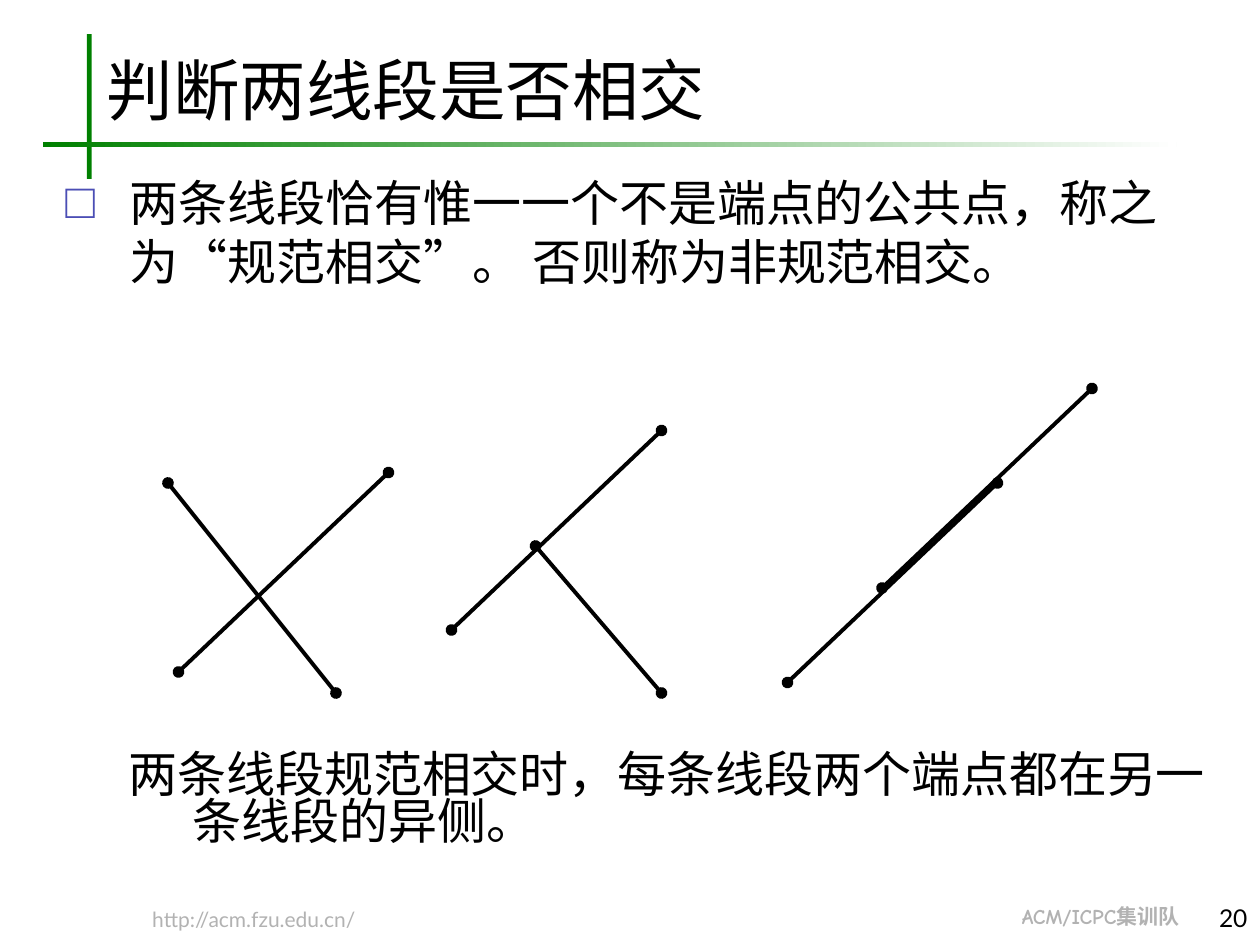
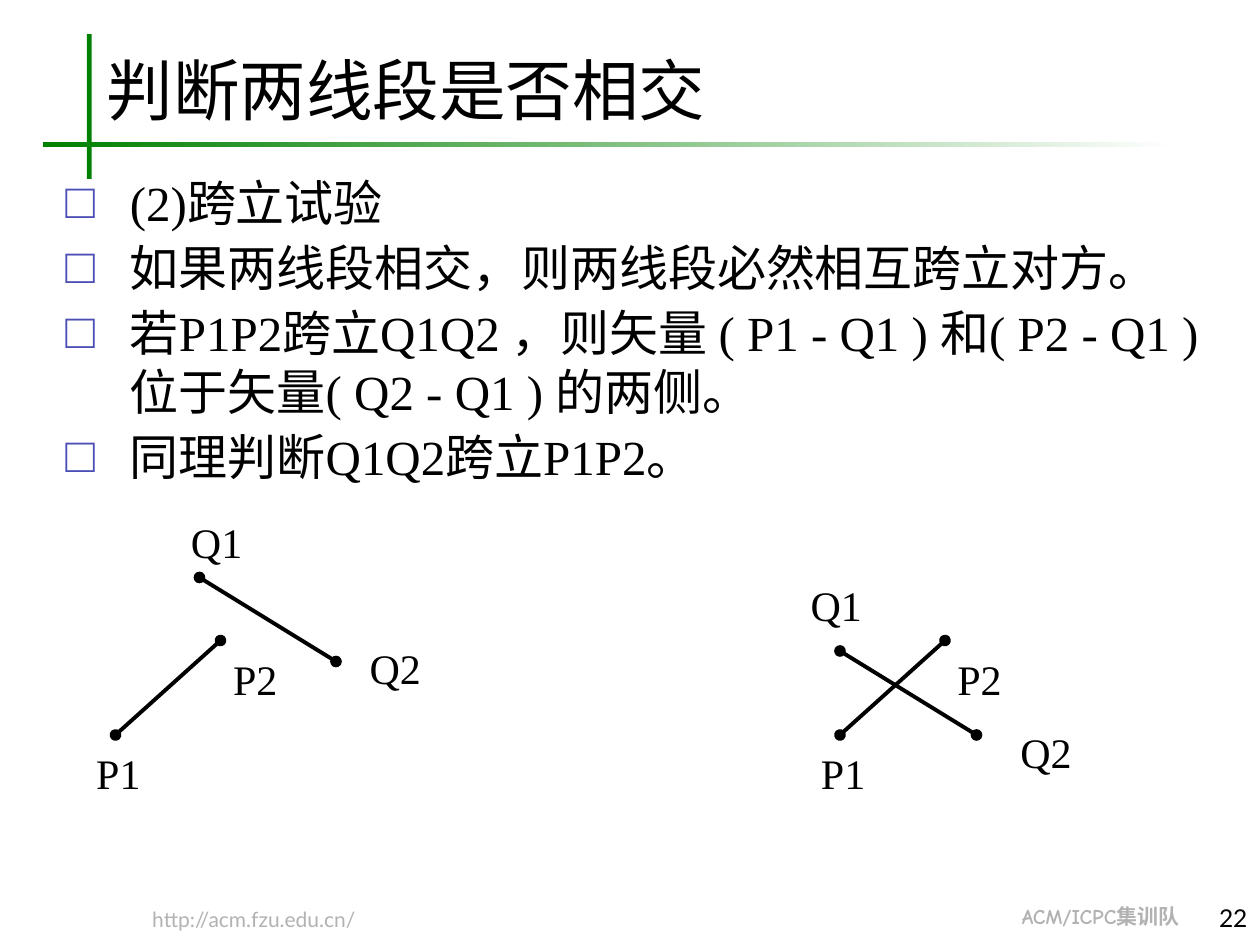
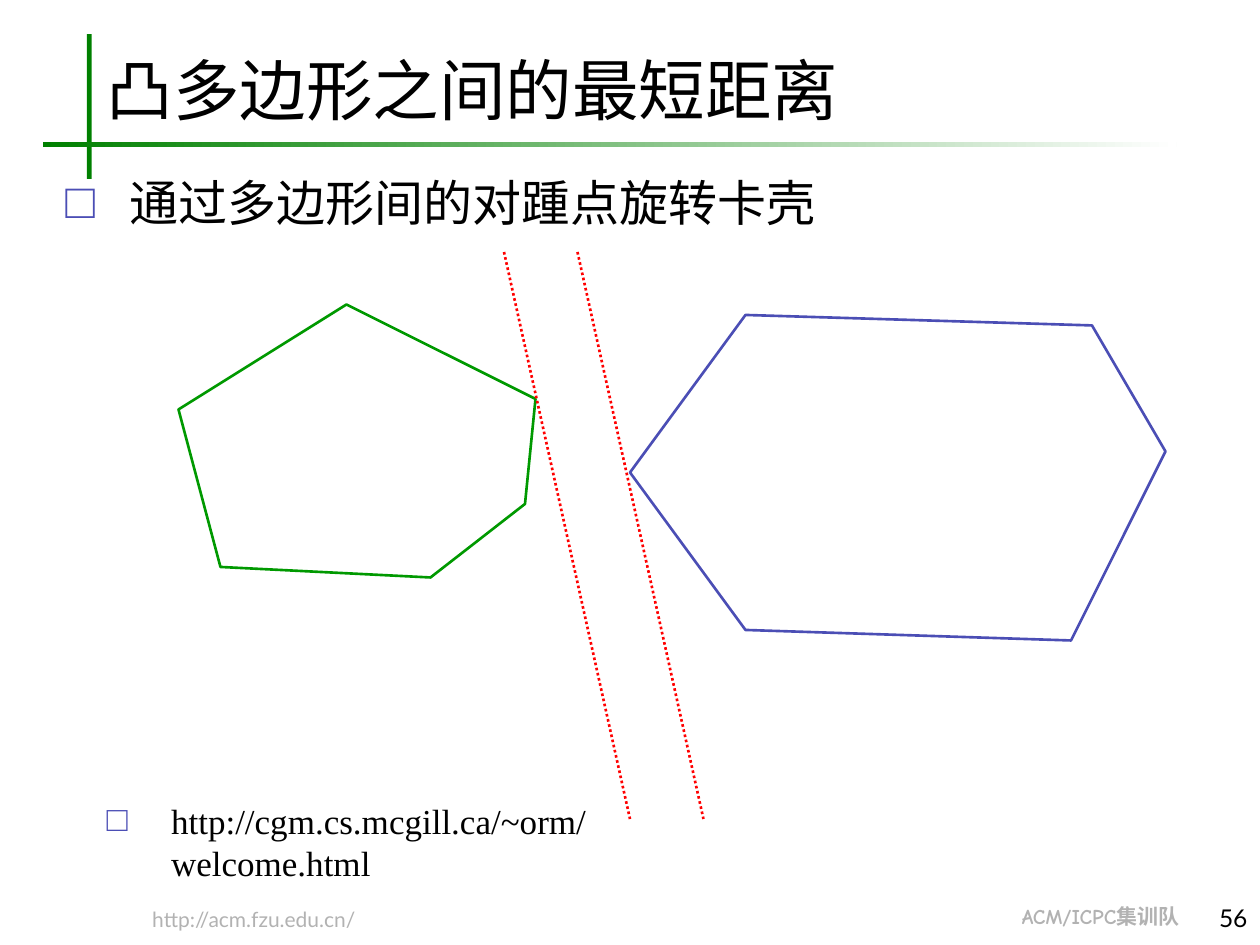
from dataclasses import dataclass, field
from typing import Any

from lxml.etree import SubElement
from pptx import Presentation
from pptx.dml.color import RGBColor
from pptx.enum.dml import MSO_LINE
from pptx.enum.lang import MSO_LANGUAGE_ID
from pptx.enum.shapes import MSO_CONNECTOR, MSO_SHAPE
from pptx.enum.text import MSO_ANCHOR, MSO_AUTO_SIZE, PP_ALIGN
from pptx.oxml.ns import qn
from pptx.util import Cm, Pt

Point = tuple[int, int]
Box = tuple[float, float, float, float]

HUES = {
    "ink": "000000", "band": "008000", "fade": "FFFFFF", "foot": "B2B2B2",
    "mark": "4B4EB5", "left": "009900", "right": "4B4EB5", "touch": "FF0000",
}
SERIF = "Times New Roman"
STEP = Cm(2.54) // 12  # drawing grid: twelve steps to the inch
HANG = Cm(1.3)
FRAME = {"word_wrap": True, "auto_size": MSO_AUTO_SIZE.NONE,
         "margin_left": Cm(0.25), "margin_right": Cm(0.25)}
ROOMY = {"margin_top": Cm(0.13), "margin_bottom": Cm(0.13)}
TIGHT = {"margin_top": Cm(0.03), "margin_bottom": Cm(0.03)}
LOW = {"vertical_anchor": MSO_ANCHOR.BOTTOM}


@dataclass(frozen=True)
class Style:
    box: Box
    size: int
    face: str = SERIF
    hue: str = "ink"
    bold: bool = False
    hang: bool = False
    mark: bool = False
    gap: float = 0
    frame: dict[str, Any] = field(default_factory=lambda: TIGHT)
    para: dict[str, Any] = field(default_factory=dict)


@dataclass(frozen=True)
class Line:
    start: Point
    end: Point
    hue: str = "ink"
    width: float = 2.25
    dots: bool = True


@dataclass(frozen=True)
class Label:
    text: str
    at: Point


@dataclass(frozen=True)
class Shape:
    hue: str
    points: list[Point]


@dataclass(frozen=True)
class Note:
    text: str
    style: Style


@dataclass(frozen=True)
class Page:
    title: str
    items: list[str]
    number: str
    art: list[Line | Label | Shape | Note]


TITLE = Style((1.9, 0.85, 22.66, 1.88), 38, frame=ROOMY | LOW)
BODY = Style((1.07, 3.35, 23.5, 14.43), 28, hang=True, mark=True, gap=3.5, frame=ROOMY)
NUMBER = Style((23.7, 18.08, 1.7, 0.84), 14, "Lato", frame=ROOMY | LOW,
               para={"alignment": PP_ALIGN.RIGHT})
DENSE = {"line_spacing": 0.8}
REMARK = Style((2.34, 15.19, 22.43, 1.96), 28, hang=True, para=DENSE)
SOURCE = Style((1.9, 16.08, 14.1, 1.75), 20, hang=True, mark=True)
FOOTS = [
    Note("http://acm.fzu.edu.cn/",
         Style((2.82, 18.34, 6.55, 0.46), 12, "Lato", "foot", para=DENSE)),
    Note("ACM/ICPC集训队",
         Style((20.35, 18.29, 4.24, 0.46), 12, "Comic Neue", "foot", True, para=DENSE)),
]

PAGES = [
    Page("判断两线段是否相交",
         ["两条线段恰有惟一一个不是端点的公共点，称之为“规范相交”。 否则称为非规范相交。"],
         "20",
         [Line((16, 46), (32, 66)), Line((17, 64), (37, 45)),
          Line((51, 52), (63, 66)), Line((43, 60), (63, 41)),
          Line((75, 65), (95, 46)), Line((84, 56), (104, 37)),
          Note("两条线段规范相交时，每条线段两个端点都在另一条线段的异侧。", REMARK)]),
    Page("判断两线段是否相交",
         ["(2)跨立试验",
          "如果两线段相交，则两线段必然相互跨立对方。",
          "若P1P2跨立Q1Q2 ，则矢量 ( P1 - Q1 ) 和( P2 - Q1 )位于矢量( Q2 - Q1 ) 的两侧。",
          "同理判断Q1Q2跨立P1P2。"],
         "22",
         [Line((11, 70), (21, 61)), Line((19, 55), (32, 63)),
          Label("P1", (8, 72)), Label("P2", (21, 63)),
          Label("Q1", (17, 50)), Label("Q2", (34, 62)),
          Line((80, 70), (90, 61)), Line((80, 62), (93, 70)),
          Label("P1", (77, 72)), Label("P2", (90, 63)),
          Label("Q1", (76, 56)), Label("Q2", (96, 70))]),
    Page("凸多边形之间的最短距离",
         ["通过多边形间的对踵点旋转卡壳"],
         "56",
         [Shape("left", [(33, 29), (17, 39), (21, 54), (41, 55), (50, 48), (51, 38)]),
          Shape("right", [(71, 30), (60, 45), (71, 60), (102, 61), (111, 43), (104, 31)]),
          Line((48, 24), (60, 78), "touch", 1.5, False),
          Line((55, 24), (67, 78), "touch", 1.5, False),
          Note("http://cgm.cs.mcgill.ca/~orm/welcome.html", SOURCE)]),
]


def color(name: str) -> RGBColor:
    return RGBColor.from_string(HUES[name])


def apply(target: Any, values: dict[str, Any]) -> None:
    for name, value in values.items():
        setattr(target, name, value)


def place(shape: Any, box: Box) -> None:
    apply(shape, dict(zip(("left", "top", "width", "height"), map(Cm, box))))


def indent(para: Any, style: Style) -> None:
    """Set the hanging indent and the square bullet."""
    props = para._p.get_or_add_pPr()
    hang = HANG if style.hang else 0
    props.set("marL", str(hang))
    props.set("indent", str(-hang))
    if style.mark:
        tint = SubElement(props, qn("a:buClr"))
        SubElement(tint, qn("a:srgbClr"), val=HUES["mark"])
        SubElement(props, qn("a:buFont"), typeface=SERIF)
        SubElement(props, qn("a:buChar"), char="□")
    else:
        SubElement(props, qn("a:buNone"))


def write(shape: Any, lines: list[str], style: Style) -> None:
    place(shape, style.box)
    frame = shape.text_frame
    apply(frame, FRAME | style.frame)
    for index, text in enumerate(lines):
        para = frame.add_paragraph() if index else frame.paragraphs[0]
        indent(para, style)
        apply(para, {"alignment": PP_ALIGN.LEFT,
                     "space_before": Pt(style.gap if index else 0)} | style.para)
        run = para.add_run()
        run.text = text
        apply(run.font, {"name": style.face, "size": Pt(style.size), "bold": style.bold,
                         "language_id": MSO_LANGUAGE_ID.SIMPLIFIED_CHINESE})
        run.font.color.rgb = color(style.hue)


def note(slide: Any, text: str, style: Style) -> None:
    write(slide.shapes.add_textbox(0, 0, 0, 0), [text], style)


def band(slide: Any, box: Box) -> Any:
    bar = slide.shapes.add_shape(MSO_SHAPE.RECTANGLE, *map(Cm, box))
    bar.shadow.inherit = False
    bar.line.fill.background()
    return bar.fill


def bands(slide: Any) -> None:
    post = band(slide, (1.75, 0.69, 0.1, 2.92))
    post.solid()
    post.fore_color.rgb = color("band")
    rule = band(slide, (0.86, 2.87, 22.86, 0.1))
    rule.gradient()
    rule.gradient_angle = 0
    for stop, name in zip(rule.gradient_stops, ("band", "fade")):
        stop.color.rgb = color(name)


def stroke(slide: Any, line: Line) -> None:
    ends = [STEP * n for n in line.start + line.end]
    link = slide.shapes.add_connector(MSO_CONNECTOR.STRAIGHT, *ends)
    link.line.color.rgb = color(line.hue)
    link.line.width = Pt(line.width)
    if line.dots:
        for tag in ("a:headEnd", "a:tailEnd"):
            SubElement(link.get_or_add_ln(), qn(tag), type="oval")
    else:
        link.line.dash_style = MSO_LINE.ROUND_DOT
    SubElement(link._element.spPr, qn("a:effectLst"))


def outline(slide: Any, shape: Shape) -> None:
    first, *rest = shape.points
    pen = slide.shapes.build_freeform(*first, scale=STEP)
    pen.add_line_segments(rest, close=True)
    form = pen.convert_to_shape()
    form.shadow.inherit = False
    form.fill.background()
    form.line.color.rgb = color(shape.hue)
    form.line.width = Pt(1.5)


def draw(slide: Any, item: Line | Label | Shape | Note) -> None:
    match item:
        case Line():
            stroke(slide, item)
        case Shape():
            outline(slide, item)
        case Note(text, style):
            note(slide, text, style)
        case Label(text, at):
            left, top = (round(STEP * n / Cm(1), 2) for n in at)
            note(slide, text, Style((left, top, 1.9, 0.86), 24, hang=True, para=DENSE))


def build(deck: Any, page: Page) -> None:
    slide = deck.slides.add_slide(deck.slide_layouts[1])
    bands(slide)
    for foot in FOOTS:
        note(slide, foot.text, foot.style)
    write(slide.shapes.title, [page.title], TITLE)
    write(slide.placeholders[1], page.items, BODY)
    for item in page.art:
        draw(slide, item)
    note(slide, page.number, NUMBER)


def main() -> None:
    deck = Presentation()
    apply(deck, {"slide_width": Cm(25.4), "slide_height": Cm(19.05)})
    for page in PAGES:
        build(deck, page)
    deck.save("out.pptx")


if __name__ == "__main__":
    main()
